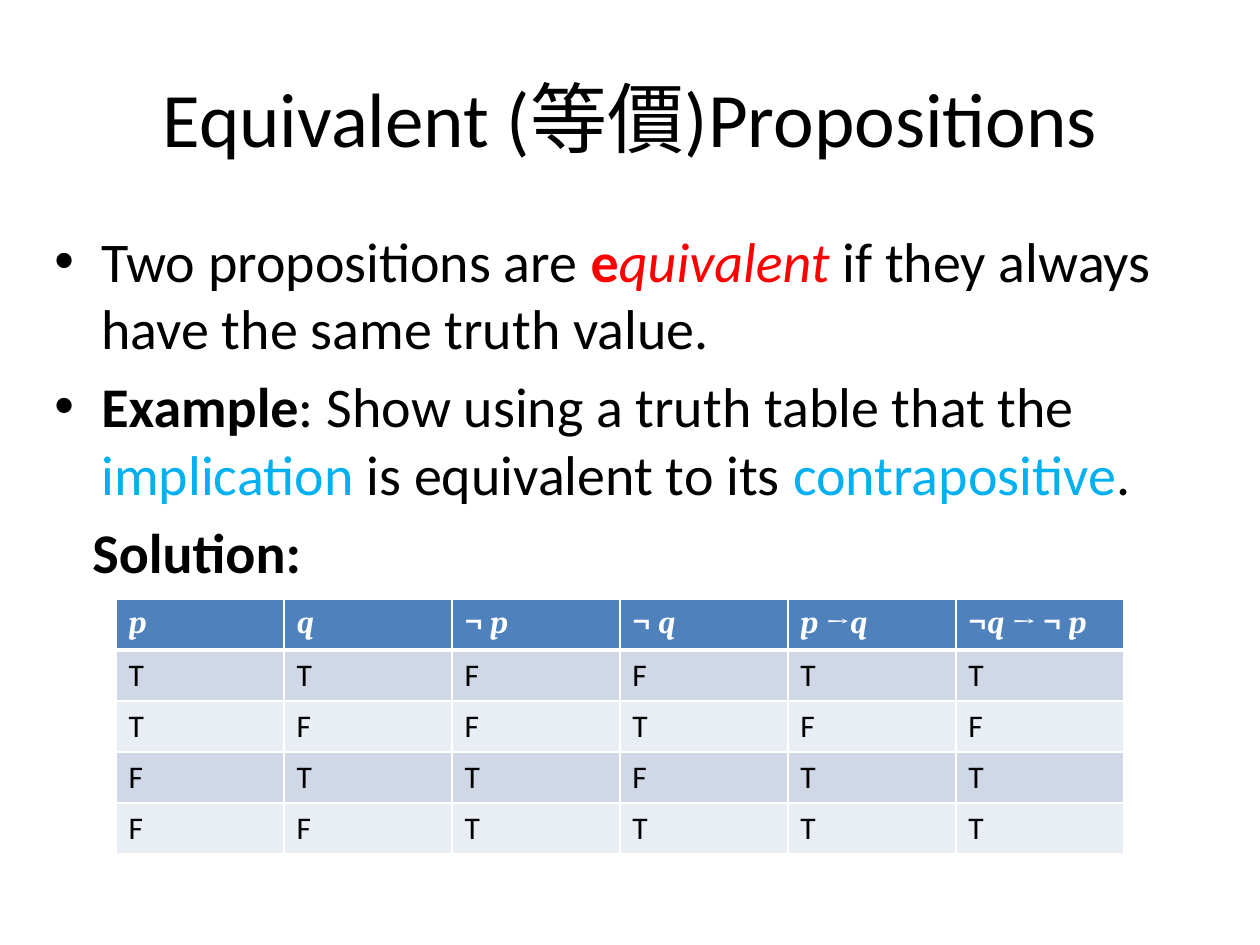
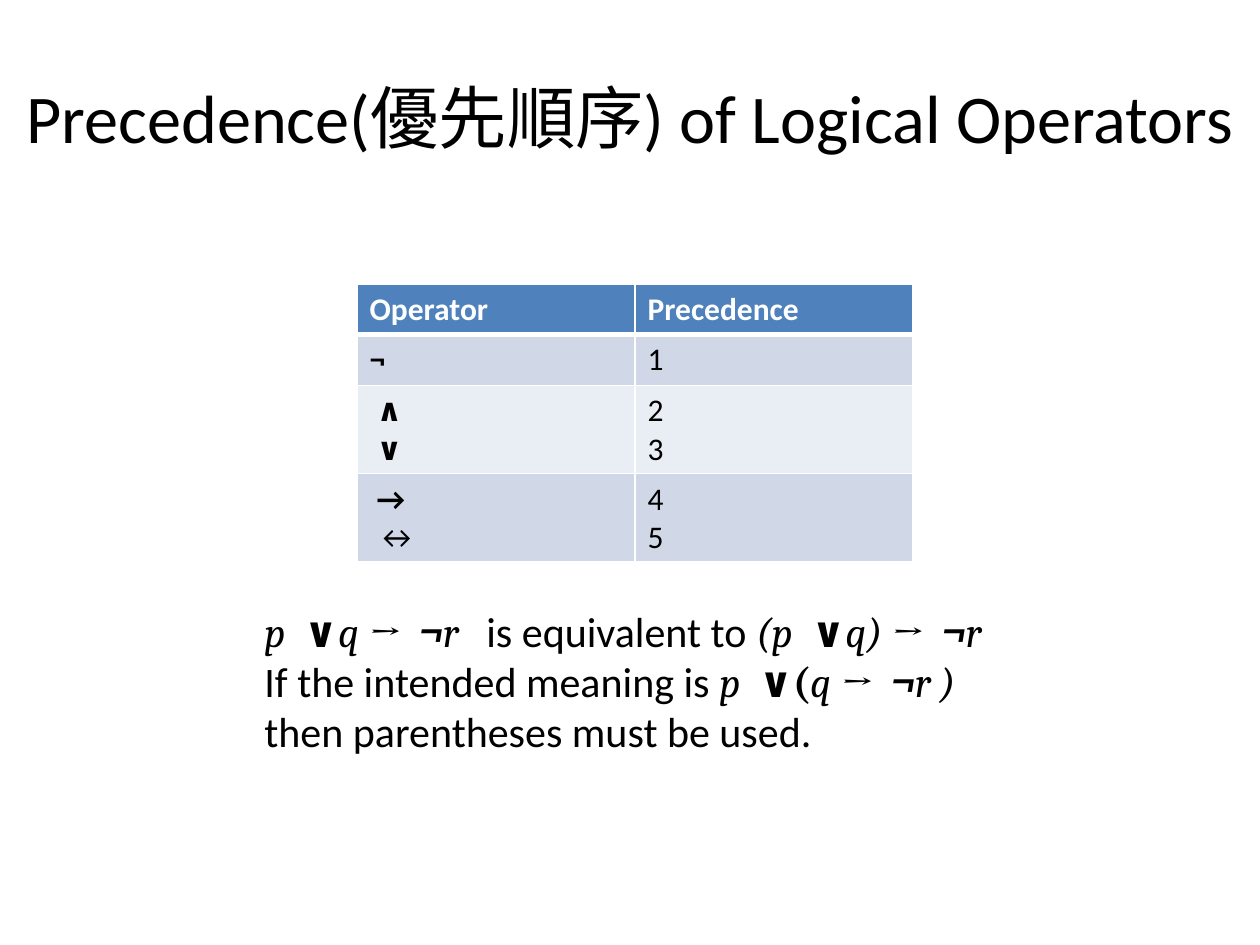
import pptx
import pptx.dml.color
import pptx.enum.text
import pptx.oxml.ns
import pptx.util
from lxml import etree

# Run: (text, flags, colour). Flags: b bold, i italic, m maths font, w wide gap, W wider gap
BLACK, WHITE, RED, SKY = "000000", "FFFFFF", "FF0000", "00B0F0"
HEADER, BAND_DARK, BAND_LIGHT = "4F81BD", "D0D8E8", "E9EDF4"
TEXT_FONT, MATH_FONT = "Calibri", "Cambria"
GAP_SPACING = {"w": "530", "W": "1060"}

PROPOSITIONS = {
    "title": "Equivalent (等價)Propositions",
    "points": [
        [("Two propositions are ",), ("e", "b", RED), ("quivalent ", "i", RED),
         ("if they always have the same truth value.",)],
        [("Example", "b"), (": Show using a truth table that the ",),
         ("implication", "", SKY), (" is equivalent to its ",),
         ("contrapositive", "", SKY), (".",)],
    ],
    "solution": [("Solution:", "b")],
    "truth_header": [
        [("p", "mi")],
        [("q", "mi")],
        [("¬ ", "m"), ("p", "mi")],
        [("¬ ", "m"), ("q", "mi")],
        [("p ", "mi"), ("→", "m"), ("q", "mi")],
        [("¬", "m"), ("q ", "mi"), ("→ ¬ ", "m"), ("p", "mi")],
    ],
    "truth_rows": ["TTFFTT", "TFFTFF", "FTTFTT", "FFTTTT"],
}

GAP, WIDE_GAP = (" ", "miw"), (" ", "miW")
ARROW_NOT = [("→", "mbi"), (" ", "mbiw"), ("¬", "mbi")]
PRECEDENCE = {
    "title": "Precedence(優先順序) of Logical Operators",
    "header": ["Operator", "Precedence"],
    "groups": [
        ([("¬", "b")], ["1"]),
        ([(" ∧", "b"), (" ∨", "b")], ["2", "3"]),
        ([(" →", "b"), (" ↔",)], ["4", "5"]),
    ],
    "notes": [
        [("p", "mi"), GAP, ("∨", "mb"), ("q ", "mi"), *ARROW_NOT, ("r", "mi"), WIDE_GAP,
         ("is equivalent to ",), ("(p", "mi"), GAP, ("∨", "mb"), ("q) ", "mi"),
         *ARROW_NOT, ("r", "mi")],
        [("If the intended meaning is ",), ("p", "mi"), GAP, ("∨(", "mb"), ("q ", "mi"),
         *ARROW_NOT, ("r )", "mi")],
        [("then parentheses must be used.",)],
    ],
}


def px(length):
    return pptx.util.Emu(round(length * 914400 / 126))


def rgb(value):
    return pptx.dml.color.RGBColor.from_string(value)


def add_element(parent, tag, **attributes):
    return etree.SubElement(parent, pptx.oxml.ns.qn(tag), attributes)


def write_runs(para, runs, size, base_colour=BLACK, base_flags=""):
    for text, flags, colour in ((*run, "", None)[:3] if len(run) == 1
                                else (*run, None)[:3] for run in runs):
        flags += base_flags
        span = para.add_run()
        span.text = text
        font = span.font
        font.size = pptx.util.Pt(size)
        font.name = MATH_FONT if "m" in flags else TEXT_FONT
        font.bold, font.italic = "b" in flags, "i" in flags
        font.color.rgb = rgb(colour or base_colour)
        for flag, spacing in GAP_SPACING.items():
            if flag in flags:
                span.font._element.set("spc", spacing)


def write_paragraphs(frame, paragraphs, size, **style):
    for index, runs in enumerate(paragraphs):
        para = frame.add_paragraph() if index else frame.paragraphs[0]
        write_runs(para, runs, size, **style)


def add_box(page, left, top, width, height):
    box = page.shapes.add_textbox(px(left), px(top), px(width), px(height))
    box.text_frame.word_wrap = True
    return box.text_frame


def add_title(page, text, left, width, size):
    frame = add_box(page, left, 38, width, 157)
    frame.vertical_anchor = pptx.enum.text.MSO_ANCHOR.MIDDLE
    frame.paragraphs[0].alignment = pptx.enum.text.PP_ALIGN.CENTER
    write_runs(frame.paragraphs[0], [(text,)], size)


def indent(para, margin, bullet):
    """Set the left margin, with a hanging bullet when asked."""
    props = para._p.get_or_add_pPr()
    props.set("marL", str(px(margin)))
    props.set("indent", str(px(-margin if bullet else 0)))
    if bullet:
        add_element(props, "a:buFont", typeface="Arial")
        add_element(props, "a:buChar", char="•")
    else:
        add_element(props, "a:buNone")


def border(cell, top, bottom):
    """White cell borders; top and bottom widths are in points."""
    props = cell._tc.get_or_add_tcPr()
    for tag, points in (("a:lnL", 1), ("a:lnR", 1), ("a:lnT", top), ("a:lnB", bottom)):
        line = add_element(props, tag, w=str(pptx.util.Pt(points)))
        add_element(add_element(line, "a:solidFill"), "a:srgbClr", val=WHITE)


def add_banded_table(page, left, top, column_width, heights, rows):
    """Each cell is a list of paragraphs; the first row is the header."""
    columns = len(rows[0])
    table = page.shapes.add_table(len(rows), columns, px(left), px(top),
                                  px(column_width * columns), px(sum(heights))).table
    for column in table.columns:
        column.width = px(column_width)
    for r, cells in enumerate(rows):
        table.rows[r].height = px(heights[r])
        fill = HEADER if r == 0 else BAND_DARK if r % 2 else BAND_LIGHT
        style = {"base_colour": WHITE, "base_flags": "b"} if r == 0 else {}
        for c, paragraphs in enumerate(cells):
            cell = table.cell(r, c)
            border(cell, 3 if r == 1 else 1, 3 if r == 0 else 1)
            cell.fill.solid()
            cell.fill.fore_color.rgb = rgb(fill)
            write_paragraphs(cell.text_frame, paragraphs, 18, **style)


def build_propositions(page):
    content = PROPOSITIONS
    add_title(page, content["title"], 63, 1134, 44)
    frame = add_box(page, 42, 220, 1187, 624)
    paragraphs = content["points"] + [content["solution"]]
    for index, runs in enumerate(paragraphs):
        para = frame.add_paragraph() if index else frame.paragraphs[0]
        bullet = runs is not content["solution"]
        indent(para, 47 if bullet else 38, bullet)
        if index:
            para.space_before = pptx.util.Pt(6.4)
        write_runs(para, runs, 32)
    rows = [[[runs] for runs in content["truth_header"]]]
    rows += [[[[(value,)]] for value in values] for values in content["truth_rows"]]
    add_banded_table(page, 116, 599, 168, [51] * len(rows), rows)


def build_precedence(page):
    content = PRECEDENCE
    add_title(page, content["title"], 0, 1260, 39)
    rows = [[[[(label,)]] for label in content["header"]]]
    for operators, ranks in content["groups"]:
        rows.append([[[run] for run in operators], [[(rank,)] for rank in ranks]])
    add_banded_table(page, 357, 284, 278, [50, 51, 88, 88], rows)
    write_paragraphs(add_box(page, 252, 599, 788, 267), content["notes"], 24)


def main():
    deck = pptx.Presentation()
    deck.slide_width, deck.slide_height = px(1260), px(945)
    for build in (build_propositions, build_precedence):
        build(deck.slides.add_slide(deck.slide_layouts[6]))
    deck.save("out.pptx")


if __name__ == "__main__":
    main()
